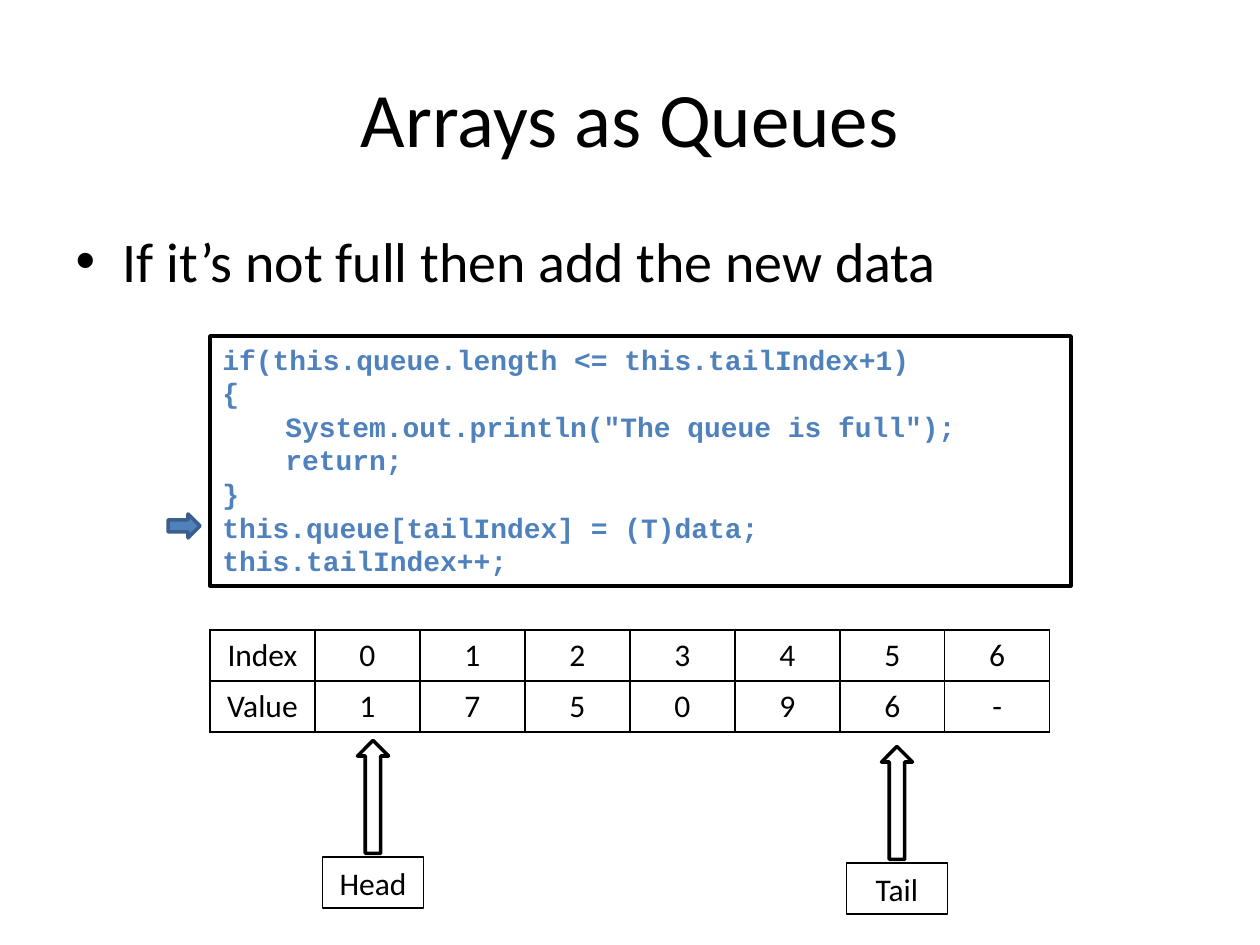
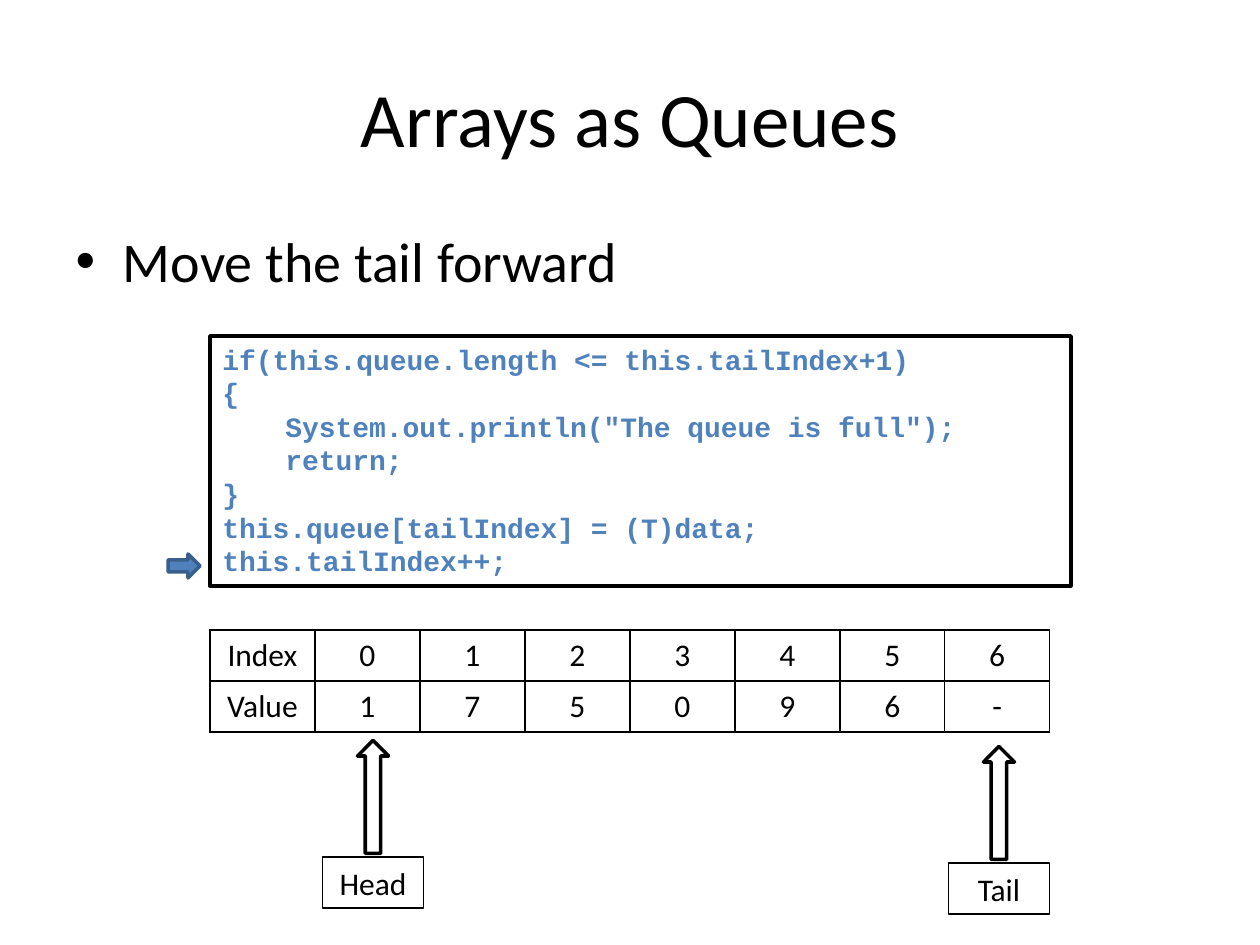
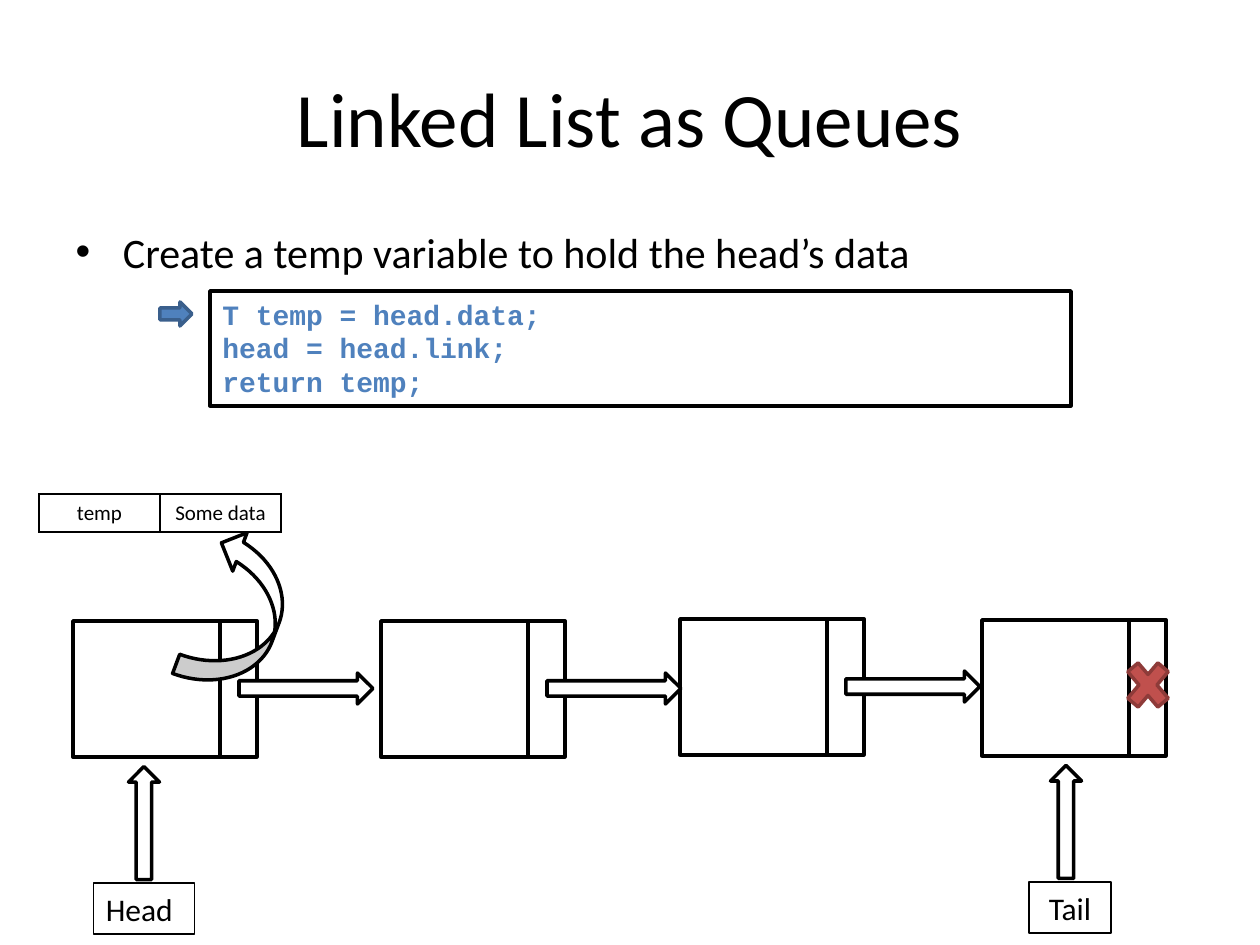
from dataclasses import dataclass

from lxml import etree
from pptx import Presentation
from pptx import util as u
from pptx.dml import color
from pptx.enum import shapes, text
from pptx.oxml import ns

PX_PER_INCH = 126


@dataclass(frozen=True)
class Theme:
    ink: str = "000000"
    paper: str = "FFFFFF"
    accent: str = "4F81BD"
    accent_edge: str = "3A5F8C"
    stop: str = "C0504D"
    stop_edge: str = "8E3B39"
    body_font: str = "Calibri"
    code_font: str = "Courier New"
    title_size: int = 44
    bullet_size: int = 32
    small_bullet_size: int = 24
    label_size: int = 18
    code_size: int = 16
    small_size: int = 12
    outline: float = 2
    thin: float = 0.75
    border: float = 1


THEME = Theme()
SHAPE = shapes.MSO_SHAPE
LEFT, CENTER = text.PP_ALIGN.LEFT, text.PP_ALIGN.CENTER
TOP, MIDDLE = text.MSO_ANCHOR.TOP, text.MSO_ANCHOR.MIDDLE

ENQUEUE_CODE = """if(this.queue.length <= this.tailIndex+1)
{
\tSystem.out.println("The queue is full");
\treturn;
}
this.queue[tailIndex] = (T)data;
this.tailIndex++;"""

DEQUEUE_CODE = """T temp = head.data;
head = head.link;
return temp;"""

QUEUE_ROWS = [
    ["Index", "0", "1", "2", "3", "4", "5", "6"],
    ["Value", "1", "7", "5", "0", "9", "6", "-"],
]

NODE_CORNERS = [(73, 621), (381, 621), (680, 619), (982, 620)]
DATA_WIDTH, LINK_WIDTH, NODE_HEIGHT = 147, 37, 136


def px(length):
    return u.Emu(round(length * 914400 / PX_PER_INCH))


def rgb(value):
    return color.RGBColor.from_string(value)


def write_text(frame, content, size=THEME.label_size, font=THEME.body_font,
               ink=THEME.ink, bold=False, align=CENTER, anchor=MIDDLE):
    frame.word_wrap = True
    frame.vertical_anchor = anchor
    for number, line in enumerate(content.split("\n")):
        paragraph = frame.add_paragraph() if number else frame.paragraphs[0]
        paragraph.alignment = align
        paragraph.space_before = u.Pt(0)
        run = paragraph.add_run()
        run.text = line
        run.font.size = u.Pt(size)
        run.font.name = font
        run.font.bold = bold
        run.font.color.rgb = rgb(ink)


def add_outline(parent, kind, left, top, width, height, fill=THEME.paper,
                edge=THEME.ink, weight=THEME.outline, rotation=0):
    shape = parent.shapes.add_shape(kind, px(left), px(top), px(width), px(height))
    shape.shadow.inherit = False
    shape.rotation = rotation
    if fill:
        shape.fill.solid()
        shape.fill.fore_color.rgb = rgb(fill)
    else:
        shape.fill.background()
    shape.line.color.rgb = rgb(edge)
    shape.line.width = u.Pt(weight)
    return shape


def place(placeholder, left, top, width, height):
    placeholder.left, placeholder.top = px(left), px(top)
    placeholder.width, placeholder.height = px(width), px(height)


def add_slide(presentation, title, bullet, bullet_size=THEME.bullet_size):
    slide = presentation.slides.add_slide(presentation.slide_layouts[1])
    heading, body = slide.placeholders
    place(heading, 63, 38, 1134, 157)
    write_text(heading.text_frame, title, size=THEME.title_size)
    place(body, 63, 220, 1134, 624)
    write_text(body.text_frame, bullet, size=bullet_size, align=LEFT, anchor=TOP)
    return slide


def add_code(slide, code, top, height):
    box = add_outline(slide, SHAPE.RECTANGLE, 210, top, 861, height)
    write_text(box.text_frame, code, size=THEME.code_size, font=THEME.code_font,
               ink=THEME.accent, bold=True, align=LEFT, anchor=TOP)


def add_line_marker(slide, left, top):
    add_outline(slide, SHAPE.RIGHT_ARROW, left, top, 32, 24,
                fill=THEME.accent, edge=THEME.accent_edge)


def add_pointer(slide, label, center, top, width=101, shift=0, align=CENTER):
    box = add_outline(slide, SHAPE.RECTANGLE, center + shift - width / 2, top,
                      width, 51, fill=None, weight=THEME.thin)
    write_text(box.text_frame, label, align=align)
    length, breadth = 113, 31
    add_outline(slide, SHAPE.RIGHT_ARROW, center - length / 2,
                top - 60 - breadth / 2, length, breadth, rotation=270)


def set_borders(cell):
    properties = cell._tc.get_or_add_tcPr()
    for side in ("a:lnL", "a:lnR", "a:lnT", "a:lnB"):
        line = etree.SubElement(properties, ns.qn(side), w=str(u.Pt(THEME.border)))
        fill = etree.SubElement(line, ns.qn("a:solidFill"))
        etree.SubElement(fill, ns.qn("a:srgbClr"), val=THEME.ink)


def add_grid(slide, rows, left, top, column_width, row_height, size):
    columns = len(rows[0])
    table = slide.shapes.add_table(
        len(rows), columns, px(left), px(top),
        px(column_width * columns), px(row_height * len(rows))).table
    table.first_row = table.horz_banding = False
    for row, values in enumerate(rows):
        for column, value in enumerate(values):
            cell = table.cell(row, column)
            set_borders(cell)
            cell.fill.background()
            write_text(cell.text_frame, value, size=size, anchor=TOP)


def add_node(slide, left, top):
    node = slide.shapes.add_group_shape()
    for offset, width in ((0, DATA_WIDTH), (DATA_WIDTH, LINK_WIDTH)):
        add_outline(node, SHAPE.RECTANGLE, left + offset, top, width, NODE_HEIGHT)


def add_array_slide(presentation, bullet, marker_top, tail_center):
    slide = add_slide(presentation, "Arrays as Queues", bullet)
    add_grid(slide, QUEUE_ROWS, 210, 630, 105, 51, THEME.label_size)
    add_pointer(slide, "Head", 373, 857)
    add_pointer(slide, "Tail", tail_center, 863)
    add_code(slide, ENQUEUE_CODE, 336, 250)
    add_line_marker(slide, 168, marker_top)


def add_linked_list_slide(presentation):
    slide = add_slide(presentation, "Linked List as Queues",
                      "Create a temp variable to hold the head’s data",
                      THEME.small_bullet_size)
    for left, top in NODE_CORNERS:
        add_node(slide, left, top)
    for left, top in NODE_CORNERS[:-1]:
        add_outline(slide, SHAPE.RIGHT_ARROW, left + 166, top + 52, 134, 31)
    add_pointer(slide, "Head", 144, 883, align=LEFT)
    add_pointer(slide, "Tail", 1066, 882, width=82, shift=4)
    add_code(slide, DEQUEUE_CODE, 291, 115)
    add_line_marker(slide, 160, 302)
    add_outline(slide, SHAPE.MATH_MULTIPLY, 1119, 651, 58, 68,
                fill=THEME.stop, edge=THEME.stop_edge)
    add_grid(slide, [["temp", "Some data"]], 39, 494, 121, 38, THEME.small_size)
    copy_arrow = add_outline(slide, SHAPE.CURVED_LEFT_ARROW, 198, 533, 82, 160,
                             rotation=20.5)
    copy_arrow._element.spPr.find(ns.qn("a:xfrm")).set("flipV", "1")


def main():
    presentation = Presentation()
    presentation.slide_width, presentation.slide_height = px(1260), px(945)
    add_array_slide(presentation, "If it’s not full then add the new data", 514, 897)
    add_array_slide(presentation, "Move the tail forward", 554, 999)
    add_linked_list_slide(presentation)
    presentation.save("out.pptx")


if __name__ == "__main__":
    main()
